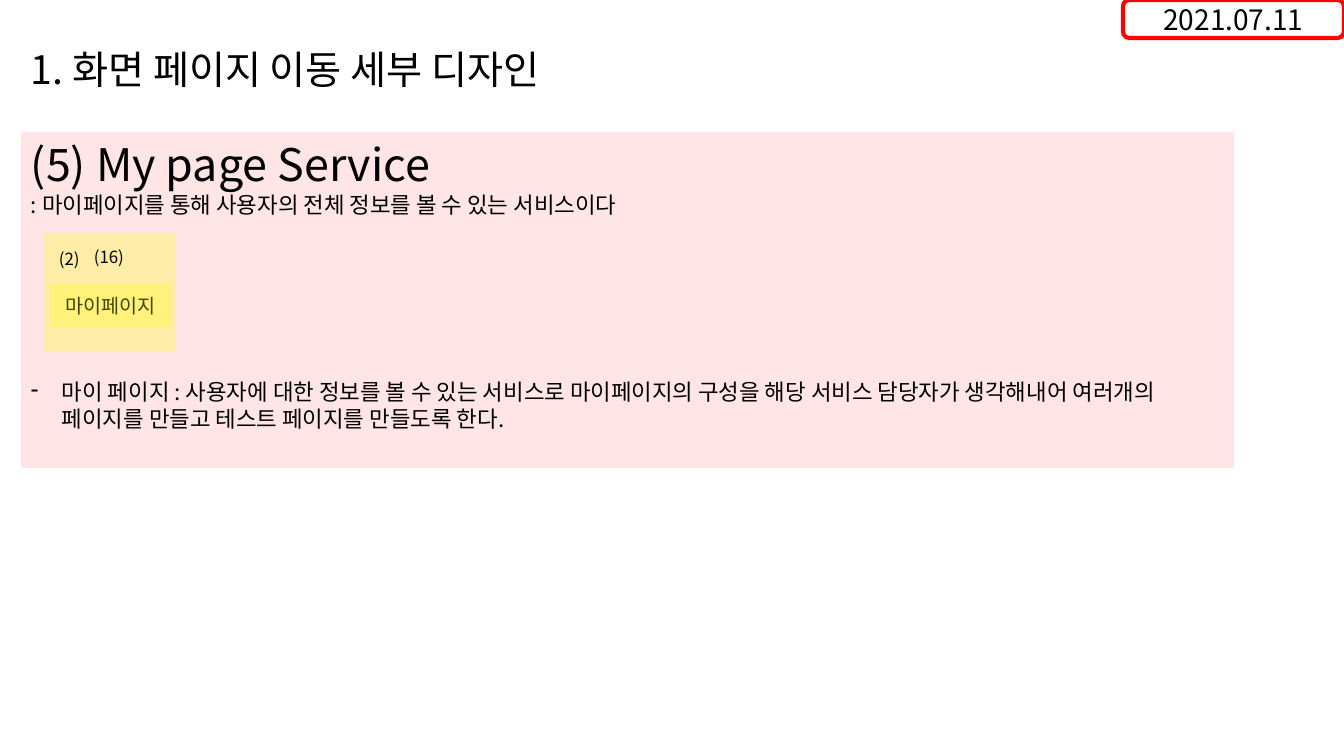
from dataclasses import dataclass
from typing import Optional

import pptx
import pptx.dml.color
import pptx.enum.shapes
import pptx.enum.text
import pptx.oxml.ns
import pptx.oxml.xmlchemy
import pptx.util
from lxml import etree

EMU_PER_PX = 914400 / 100.8
FONT = "Noto Sans CJK KR"
COLORS = {"text": "000000", "red": "FF0000", "yellow": "FFFF00"}
ALIGN = pptx.enum.text.PP_ALIGN
ANCHOR = pptx.enum.text.MSO_ANCHOR
AUTO_SIZE = pptx.enum.text.MSO_AUTO_SIZE
SHAPE = pptx.enum.shapes.MSO_SHAPE


@dataclass
class Line:
    text: str
    size: int
    align: ALIGN = ALIGN.LEFT
    bullet: str = ""
    space_before: int = 0
    spacing: float = 1.0


@dataclass
class Block:
    left: int
    top: int
    width: int
    height: int
    lines: tuple[Line, ...] = ()
    kind: Optional[SHAPE] = None  # None makes a plain text box
    fill: str = ""
    opacity: int = 100
    outline: str = ""
    anchor: ANCHOR = ANCHOR.TOP
    wrap: bool = True
    grow: bool = False


def px(length: int) -> pptx.util.Emu:
    return pptx.util.Emu(round(length * EMU_PER_PX))


def rgb(name: str) -> pptx.dml.color.RGBColor:
    return pptx.dml.color.RGBColor.from_string(COLORS[name])


def add_child(parent, tag: str, **attributes: str) -> None:
    child = etree.SubElement(parent, pptx.oxml.ns.qn(tag))
    for name, value in attributes.items():
        child.set(name, value)


def write_line(paragraph, line: Line) -> None:
    paragraph.text = line.text
    paragraph.alignment = line.align
    if line.spacing != 1.0:
        paragraph.line_spacing = line.spacing
    if line.space_before:
        paragraph.space_before = pptx.util.Pt(line.space_before)
    properties = paragraph._p.get_or_add_pPr()
    if line.bullet:
        indent = px(31)
        properties.set("marL", str(indent))
        properties.set("indent", str(-indent))
        add_child(properties, "a:buChar", char=line.bullet)
    font = paragraph.font
    font.size = pptx.util.Pt(line.size)
    font.name = FONT
    font.color.rgb = rgb("text")
    add_child(properties.find(pptx.oxml.ns.qn("a:defRPr")), "a:ea", typeface=FONT)


def paint(shape, block: Block) -> None:
    shape.shadow.inherit = False
    if block.fill:
        shape.fill.solid()
        shape.fill.fore_color.rgb = rgb(block.fill)
        color = shape.fill._xPr.find(".//" + pptx.oxml.ns.qn("a:srgbClr"))
        add_child(color, "a:alpha", val=str(block.opacity * 1000))
    else:
        shape.fill.background()
    if block.outline:
        shape.line.color.rgb = rgb(block.outline)
        shape.line.width = pptx.util.Pt(3)
    else:
        shape.line.fill.background()


def draw(slide, block: Block) -> None:
    frame = [px(n) for n in (block.left, block.top, block.width, block.height)]
    if block.kind is None:
        shape = slide.shapes.add_textbox(*frame)
    else:
        shape = slide.shapes.add_shape(block.kind, *frame)
        paint(shape, block)
    text = shape.text_frame
    text.word_wrap = block.wrap
    text.vertical_anchor = block.anchor
    if block.grow:
        text.auto_size = AUTO_SIZE.SHAPE_TO_FIT_TEXT
    for index, line in enumerate(block.lines):
        write_line(text.add_paragraph() if index else text.paragraphs[0], line)


BLOCKS = (
    # Page heading
    Block(21, 26, 898, 72, (Line("1. 화면 페이지 이동 세부 디자인", 28, spacing=0.9),),
          anchor=ANCHOR.BOTTOM),
    # Service description panel
    Block(21, 132, 1213, 336, (
        Line("(5) My page Service", 32),
        Line(": 마이페이지를 통해 사용자의 전체 정보를 볼 수 있는 서비스이다", 16),
        Line("마이 페이지 : 사용자에 대한 정보를 볼 수 있는 서비스로 마이페이지의 구성을 "
             "해당 서비스 담당자가 생각해내어 여러개의 페이지를 만들고 테스트 페이지를 "
             "만들도록 한다.", 16, bullet="-", space_before=115),
    ), SHAPE.RECTANGLE, fill="red", opacity=10, grow=True),
    # Date
    Block(1123, 0, 221, 38, (Line("2021.07.11", 20, ALIGN.CENTER),),
          SHAPE.ROUNDED_RECTANGLE, outline="red", anchor=ANCHOR.MIDDLE),
    # My page button under its highlighted area
    Block(50, 284, 121, 43, (Line("마이페이지", 14, ALIGN.CENTER),),
          SHAPE.RECTANGLE, fill="yellow", opacity=27, anchor=ANCHOR.MIDDLE),
    Block(44, 233, 132, 119, kind=SHAPE.RECTANGLE, fill="yellow", opacity=27),
    # Reference numbers
    Block(49, 244, 42, 30, (Line("(2)", 12),), wrap=False, grow=True),
    Block(84, 242, 52, 30, (Line("(16)", 12),), wrap=False, grow=True),
)


def main() -> None:
    deck = pptx.Presentation()
    deck.slide_width, deck.slide_height = px(1344), px(756)
    slide = deck.slides.add_slide(deck.slide_layouts[6])
    for block in BLOCKS:
        draw(slide, block)
    deck.save("out.pptx")


if __name__ == "__main__":
    main()
